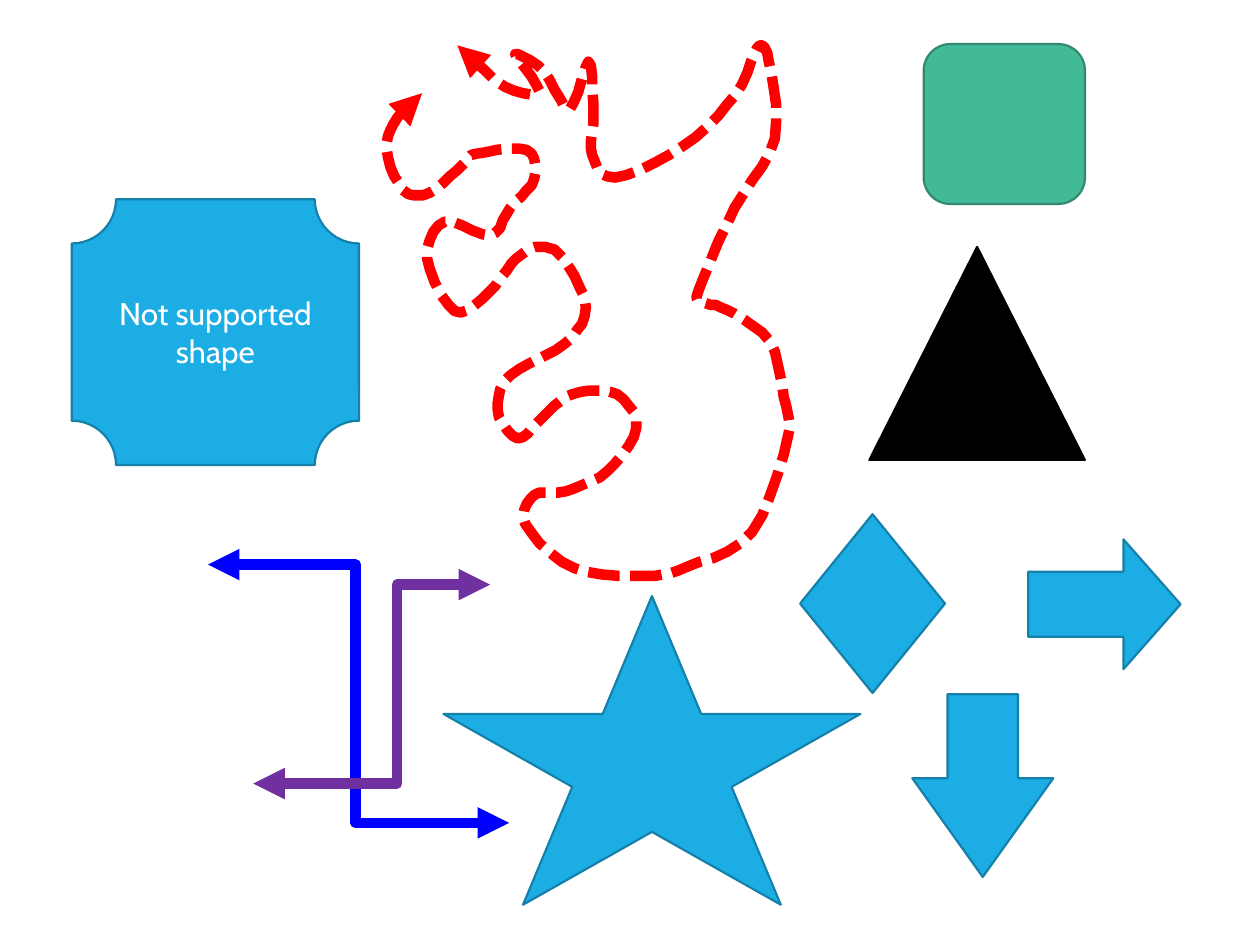
from lxml import etree
from pptx import Presentation
from pptx.dml.color import RGBColor
from pptx.enum.dml import MSO_LINE_DASH_STYLE as Dash
from pptx.enum.shapes import MSO_CONNECTOR as Connector, MSO_SHAPE as Shape
from pptx.enum.text import MSO_ANCHOR, PP_ALIGN
from pptx.oxml.ns import qn
from pptx.util import Pt

COLORS = {
    "blue": "1CADE4", "blue edge": "1580A9",
    "green": "42BA97", "green edge": "318A70",
    "black": "000000", "white": "FFFFFF",
    "scribble": "FF0000", "outer link": "0000FF", "inner link": "7030A0",
}


def rgb(name):
    return RGBColor.from_string(COLORS[name])


def style_arrow(arrow, color):
    """Give a thick coloured line with a triangle at each end and no shadow."""
    arrow.line.color.rgb = rgb(color)
    arrow.line.width = Pt(6)
    line = arrow.line._get_or_add_ln()
    etree.SubElement(line, qn("a:round"))
    for end in ("a:headEnd", "a:tailEnd"):
        etree.SubElement(line, qn(end), type="triangle")
    if arrow._element.spPr.find(qn("a:effectLst")) is None:
        etree.SubElement(arrow._element.spPr, qn("a:effectLst"))


prs = Presentation()
prs.slide_width, prs.slide_height = Pt(720), Pt(540)
slide = prs.slides.add_slide(prs.slide_layouts[6])
shapes = slide.shapes

# The scribble is a smooth curve through these turns, in hundredths of an inch
turns = [
    (335, 74), (315, 94), (307, 119), (320, 151), (341, 153), (367, 131),
    (378, 122), (418, 119), (424, 142), (405, 165), (389, 187), (353, 176),
    (339, 205), (361, 247), (388, 232), (410, 205), (429, 196), (447, 205),
    (465, 244), (448, 273), (405, 298), (395, 325), (411, 348), (432, 330),
    (454, 313), (490, 313), (505, 340), (482, 374), (449, 390), (424, 393),
    (417, 416), (456, 451), (512, 457), (545, 450), (597, 422), (625, 348),
    (622, 315), (611, 271), (577, 246), (558, 240), (555, 229), (583, 165),
    (615, 110), (610, 48), (601, 38), (584, 75), (542, 116), (488, 141),
    (470, 123), (471, 91), (467, 49), (452, 87), (432, 57), (409, 43),
    (428, 72), (401, 69), (363, 36),
]
STEPS = 5
curve = []
padded = turns[:1] + turns + turns[-1:]
for before, start, end, after in zip(padded, padded[1:], padded[2:], padded[3:]):
    for step in range(STEPS):
        t = step / STEPS
        # Catmull-Rom interpolation between start and end
        curve.append(tuple(
            b + t * (c - a) / 2
            + t**2 * (2 * a - 5 * b + 4 * c - d) / 2
            + t**3 * (3 * b - a - 3 * c + d) / 2
            for a, b, c, d in zip(before, start, end, after)))
curve.append(turns[-1])

outline = shapes.build_freeform(*curve[0], scale=Pt(0.72))
outline.add_line_segments(curve[1:], close=False)
scribble = outline.convert_to_shape()
scribble.shadow.inherit = False
scribble.fill.background()
scribble.line.dash_style = Dash.SQUARE_DOT
style_arrow(scribble, "scribble")

links = [
    ("outer link", (118.8, 322.6), (290.9, 470.2), 49100),
    ("inner link", (144.7, 447.8), (280.1, 334.1), 60700),
]
for color, start, end, bend in links:
    link = shapes.add_connector(Connector.ELBOW, *map(Pt, start + end))
    style_arrow(link, color)
    guides = link._element.spPr.find(qn("a:prstGeom")).get_or_add_avLst()
    etree.SubElement(guides, qn("a:gd"), name="adj1", fmla=f"val {bend}")

figures = [
    (Shape.ROUNDED_RECTANGLE, (527.8, 25.2, 92.2, 91.4), "green", "green edge", ()),
    (Shape.ISOSCELES_TRIANGLE, (496.8, 141.1, 123.1, 121.7), "black", "black", ()),
    (Shape.RIGHT_ARROW, (587.5, 308.2, 87.1, 74.2), "blue", "blue edge", (0.5, 0.44)),
    (Shape.DOWN_ARROW, (521.3, 396.7, 80.6, 104.4), "blue", "blue edge", (0.5, 0.7)),
    (Shape.STAR_5_POINT, (253.4, 340.6, 238.3, 176.4), "blue", "blue edge", ()),
    (Shape.DIAMOND, (457.2, 293.8, 82.8, 102.2), "blue", "blue edge", ()),
    (Shape.PLAQUE, (41, 113.8, 164.2, 151.9), "blue", "blue edge", ()),
]
for kind, box, fill, edge, adjustments in figures:
    figure = shapes.add_shape(kind, *map(Pt, box))
    figure.shadow.inherit = False
    figure.fill.solid()
    figure.fill.fore_color.rgb = rgb(fill)
    figure.line.color.rgb = rgb(edge)
    figure.line.width = Pt(1.25)
    for index, value in enumerate(adjustments):
        figure.adjustments[index] = value

# The plaque is the last figure and the only one with a caption
caption = figure.text_frame
caption.text = "Not supported shape"
caption.word_wrap = True
caption.vertical_anchor = MSO_ANCHOR.MIDDLE
caption.paragraphs[0].alignment = PP_ALIGN.CENTER
font = caption.paragraphs[0].runs[0].font
font.name, font.size = "Cabin", Pt(18)
font.color.rgb = rgb("white")

prs.save("out.pptx")
